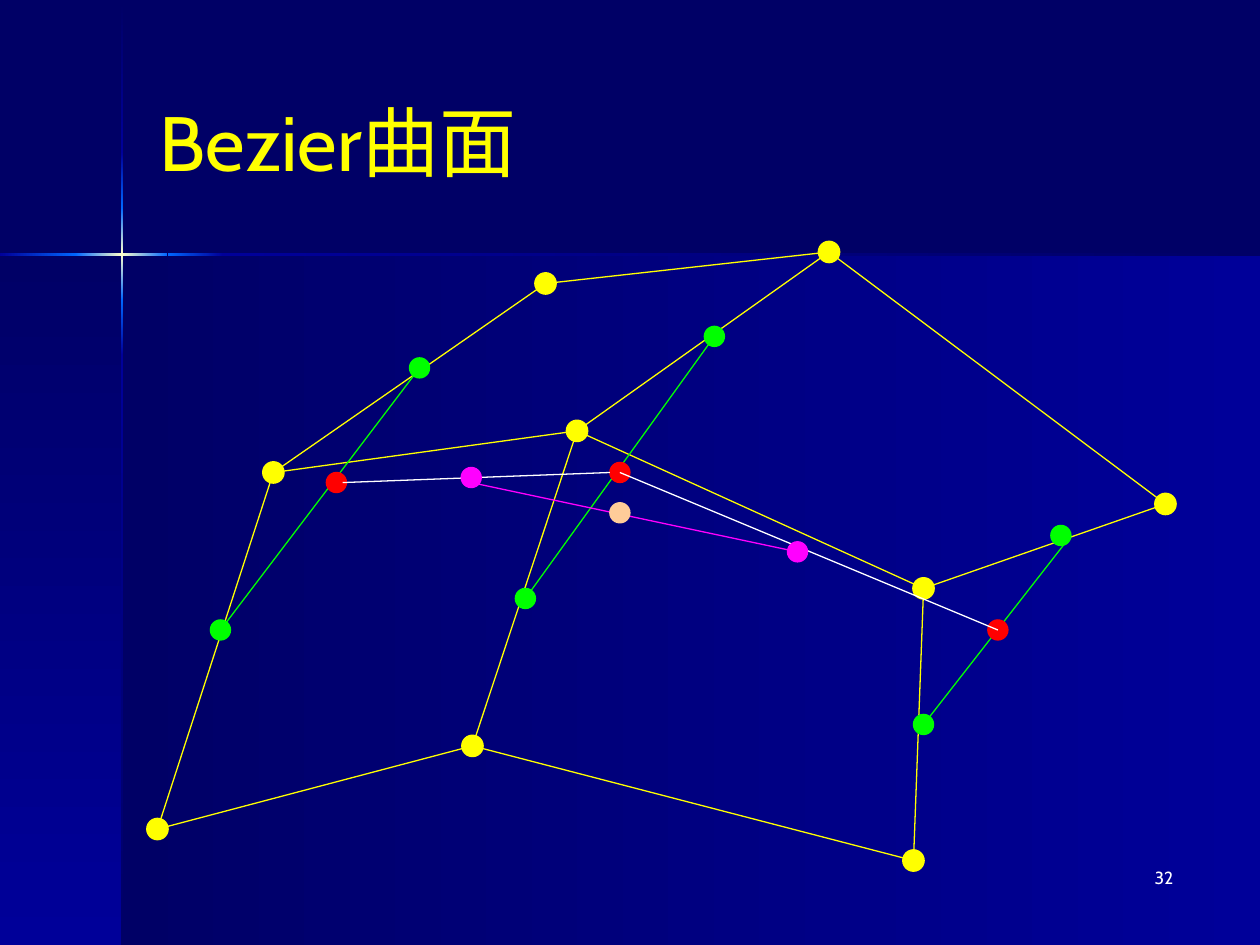
from dataclasses import dataclass
from typing import NamedTuple

from lxml.etree import SubElement
from pptx import Presentation
from pptx.dml.color import RGBColor
from pptx.enum.shapes import MSO_CONNECTOR, MSO_SHAPE
from pptx.enum.text import MSO_ANCHOR, PP_ALIGN
from pptx.oxml.ns import qn
from pptx.util import Inches, Pt


@dataclass(frozen=True)
class Theme:
    font: str = "Cabin"
    title_size: int = 44
    number_size: int = 10
    line_width: float = 0.75
    dot_size: float = 0.17
    navy: str = "000066"
    blue: str = "000099"
    bright: str = "0066FF"
    glow: str = "FFFFCC"
    yellow: str = "FFFF00"
    green: str = "00FF00"
    red: str = "FF0000"
    white: str = "FFFFFF"
    magenta: str = "FF00FF"
    peach: str = "FFCC99"


THEME = Theme()


class Point(NamedTuple):
    x: float
    y: float


class Segment(NamedTuple):
    start: Point
    end: Point


class Band(NamedTuple):
    left: float
    top: float
    width: float
    height: float
    colors: tuple[str, ...]
    vertical: bool


def draw_band(slide, band: Band) -> None:
    shape = slide.shapes.add_shape(
        MSO_SHAPE.RECTANGLE, Inches(band.left), Inches(band.top),
        Inches(band.width), Inches(band.height))
    shape.shadow.inherit = False
    shape.line.fill.background()
    shape.fill.gradient()
    shape.fill.gradient_angle = 270 if band.vertical else 0
    # Replace the default stops with evenly spaced ones
    stops = shape.element.spPr.find(".//" + qn("a:gsLst"))
    for stop in list(stops):
        stops.remove(stop)
    for i, color in enumerate(band.colors):
        position = 100000 * i // (len(band.colors) - 1)
        stop = SubElement(stops, qn("a:gs"), pos=str(position))
        SubElement(stop, qn("a:srgbClr"), val=color)


def draw_segment(slide, segment: Segment, color: str) -> None:
    start, end = segment
    line = slide.shapes.add_connector(
        MSO_CONNECTOR.STRAIGHT, Inches(start.x), Inches(start.y),
        Inches(end.x), Inches(end.y))
    line.line.color.rgb = RGBColor.from_string(color)
    line.line.width = Pt(THEME.line_width)
    SubElement(line.element.spPr, qn("a:effectLst"))


def draw_dot(slide, center: Point, color: str, outlined: bool = False) -> None:
    size = THEME.dot_size
    dot = slide.shapes.add_shape(
        MSO_SHAPE.OVAL, Inches(center.x - size / 2), Inches(center.y - size / 2),
        Inches(size), Inches(size))
    dot.shadow.inherit = False
    dot.fill.solid()
    dot.fill.fore_color.rgb = RGBColor.from_string(color)
    if outlined:
        dot.line.color.rgb = RGBColor.from_string(color)
        dot.line.width = Pt(THEME.line_width)
    else:
        dot.line.fill.background()


def draw_level(slide, dots: list[Point], segments: list[Segment],
               dot_color: str, line_color: str) -> None:
    for dot in dots:
        draw_dot(slide, dot, dot_color)
    for segment in segments:
        draw_segment(slide, segment, line_color)


def add_text(slide, text: str, *, left: float, top: float, width: float,
             height: float, size: int, color: str,
             align: PP_ALIGN = PP_ALIGN.LEFT,
             anchor: MSO_ANCHOR = MSO_ANCHOR.TOP) -> None:
    frame = slide.shapes.add_textbox(
        Inches(left), Inches(top), Inches(width), Inches(height)).text_frame
    frame.word_wrap = True
    frame.vertical_anchor = anchor
    paragraph = frame.paragraphs[0]
    paragraph.alignment = align
    run = paragraph.add_run()
    run.text = text
    run.font.name = THEME.font
    run.font.size = Pt(size)
    run.font.color.rgb = RGBColor.from_string(color)


# Background panels, then the bars of the glowing cross
DARK_TO_BLUE = (THEME.navy, THEME.blue)
BLUE_TO_DARK = (THEME.blue, THEME.navy)
BLUE_TO_BRIGHT = (THEME.blue, THEME.bright)
BRIGHT_TO_BLUE = (THEME.bright, THEME.blue)
FLARE = (THEME.bright, THEME.glow, THEME.bright)
BANDS = [
    Band(0.97, 2.02, 9.03, 5.48, DARK_TO_BLUE, False),
    Band(0, 2.02, 0.97, 5.48, DARK_TO_BLUE, True),
    Band(0.96, 0.01, 0.02, 1.2, DARK_TO_BLUE, True),
    Band(0.96, 2.82, 0.02, 4.68, BLUE_TO_DARK, True),
    Band(1.77, 2.01, 8.23, 0.02, BLUE_TO_DARK, False),
    Band(0.96, 2.38, 0.02, 0.44, BRIGHT_TO_BLUE, True),
    Band(0.96, 1.21, 0.02, 0.44, BLUE_TO_BRIGHT, True),
    Band(0.96, 1.65, 0.02, 0.73, FLARE, True),
    Band(0, 2.01, 0.61, 0.02, BLUE_TO_BRIGHT, False),
    Band(1.33, 2.01, 0.44, 0.02, BRIGHT_TO_BLUE, False),
    Band(0.6, 2.01, 0.73, 0.02, FLARE, False),
]

# Control net, front row to back row
CONTROL_NET = [
    [Point(1.25, 6.58), Point(3.75, 5.92), Point(7.25, 6.83)],
    [Point(2.17, 3.75), Point(4.58, 3.42), Point(7.33, 4.67)],
    [Point(4.33, 2.25), Point(6.58, 2), Point(9.25, 4)],
]

# Successive interpolation points
FIRST_STEP = [Point(1.75, 5), Point(3.33, 2.92), Point(4.17, 4.75),
              Point(5.67, 2.67), Point(7.33, 5.75), Point(8.42, 4.25)]
FIRST_LINES = [Segment(FIRST_STEP[1], FIRST_STEP[0]),
               Segment(Point(8.5, 4.25), FIRST_STEP[4]),
               Segment(FIRST_STEP[3], FIRST_STEP[2])]
CURVE_CONTROLS = [Point(2.67, 3.83), Point(4.92, 3.75), Point(7.92, 5)]
CURVE_LINES = [Segment(Point(2.72, 3.83), Point(4.84, 3.75)),
               Segment(CURVE_CONTROLS[1], CURVE_CONTROLS[2])]
LAST_STEP = [Point(3.74, 3.79), Point(6.33, 4.38)]
LAST_LINES = [Segment(Point(3.74, 3.83), LAST_STEP[1])]
SURFACE_POINT = Point(4.92, 4.07)


def draw_control_net(slide) -> None:
    columns = list(zip(*CONTROL_NET))
    for chain in [*CONTROL_NET, *columns]:
        for start, end in zip(chain, chain[1:]):
            draw_segment(slide, Segment(start, end), THEME.yellow)
    for row in CONTROL_NET:
        for point in row:
            draw_dot(slide, point, THEME.yellow, outlined=True)


def main() -> None:
    presentation = Presentation()
    presentation.slide_width = Inches(10)
    presentation.slide_height = Inches(7.5)
    slide = presentation.slides.add_slide(presentation.slide_layouts[6])
    slide.background.fill.solid()
    slide.background.fill.fore_color.rgb = RGBColor.from_string(THEME.navy)
    for band in BANDS:
        draw_band(slide, band)

    # Page number and title
    add_text(slide, "32", left=7.33, top=6.83, width=2.08, height=0.5,
             size=THEME.number_size, color=THEME.white, align=PP_ALIGN.RIGHT)
    add_text(slide, "Bezier曲面", left=1.17, top=0.33, width=8.25, height=1.57,
             size=THEME.title_size, color=THEME.yellow, anchor=MSO_ANCHOR.MIDDLE)

    # Surface construction
    draw_control_net(slide)
    draw_level(slide, FIRST_STEP, FIRST_LINES, THEME.green, THEME.green)
    draw_level(slide, CURVE_CONTROLS, CURVE_LINES, THEME.red, THEME.white)
    draw_level(slide, LAST_STEP, LAST_LINES, THEME.magenta, THEME.magenta)
    draw_dot(slide, SURFACE_POINT, THEME.peach)

    presentation.save("out.pptx")


if __name__ == "__main__":
    main()
